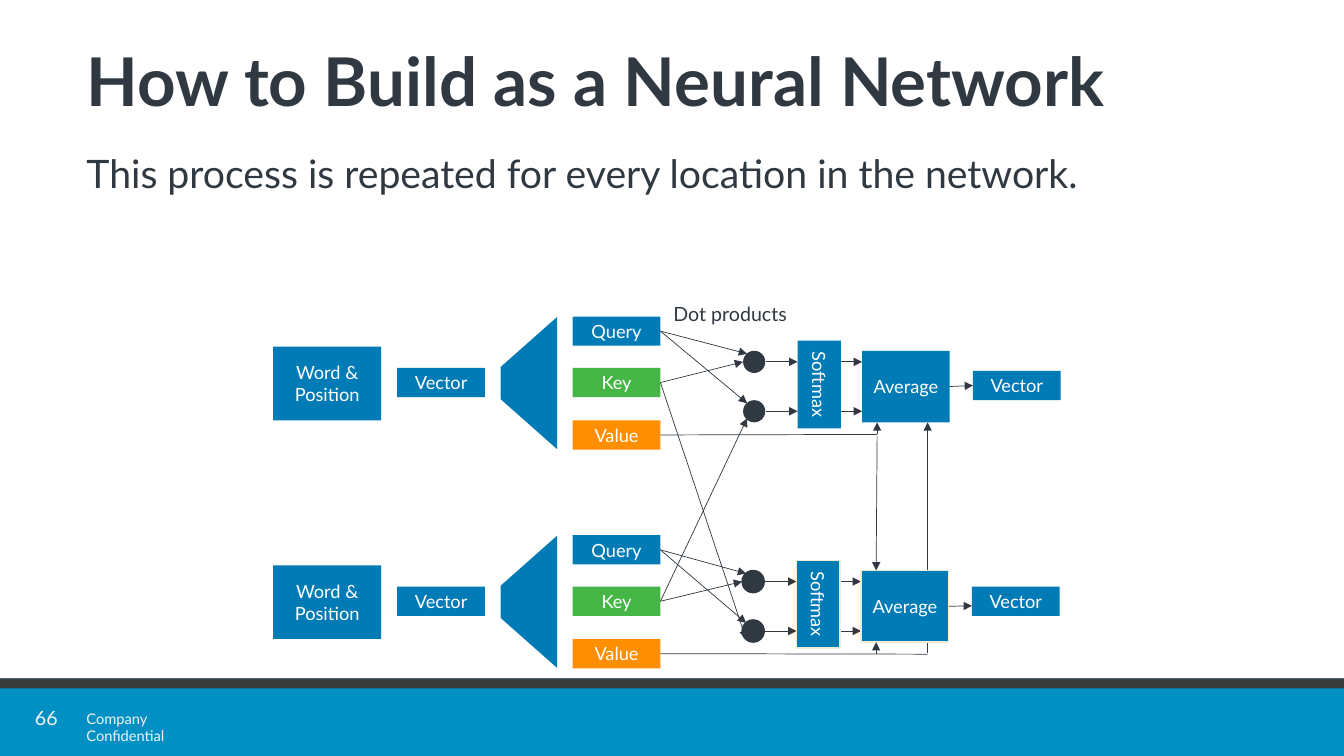
from lxml import etree
from pptx import Presentation
from pptx.dml.color import RGBColor
from pptx.enum.shapes import MSO_CONNECTOR, MSO_SHAPE
from pptx.enum.text import MSO_ANCHOR, PP_ALIGN
from pptx.oxml.ns import qn
from pptx.util import Inches, Pt

RECT, OVAL, TRAPEZOID = MSO_SHAPE.RECTANGLE, MSO_SHAPE.OVAL, MSO_SHAPE.TRAPEZOID
STRAIGHT = MSO_CONNECTOR.STRAIGHT
MIDDLE, TOP = MSO_ANCHOR.MIDDLE, MSO_ANCHOR.TOP
LEFT, CENTER = PP_ALIGN.LEFT, PP_ALIGN.CENTER
LEFT_SIDE, RIGHT_SIDE = 1, 3

FONT = "Lato"
INK = RGBColor(0x30, 0x39, 0x42)
BLUE = RGBColor(0x00, 0x7B, 0xB6)
GREEN = RGBColor(0x45, 0xB6, 0x45)
ORANGE = RGBColor(0xFF, 0x8E, 0x00)
CREAM = RGBColor(0xED, 0xEC, 0xD7)
WHITE = RGBColor(0xFF, 0xFF, 0xFF)
FOOTER_BLUE = RGBColor(0x00, 0x90, 0xC3)
FOOTER_DARK = RGBColor(0x38, 0x3D, 0x3B)
FOOTER_TEXT = RGBColor(0xF2, 0xF2, 0xF2)

# Content
TITLE = "How to Build as a Neural Network"
BODY = "This process is repeated for every location in the network."
DOT_LABEL = "Dot products"
PAGE_NUMBER = "66"
FOOTER = "Company Confidential"

# Encoder boxes of one location: text, left, top, width, height, fill
ENCODER = [
    ("Word & Position", 2.71, 3.44, 1.07, 0.73, BLUE),
    ("Vector", 3.94, 3.65, 0.87, 0.29, BLUE),
    ("Query", 5.68, 3.14, 0.87, 0.29, BLUE),
    ("Key", 5.68, 3.65, 0.87, 0.29, GREEN),
    ("Value", 5.68, 4.17, 0.87, 0.29, ORANGE),
]
# Per location: encoder drop, attention shift, attention drop, output drop, border
LOCATIONS = [
    (0, 0, 0, 0, None),
    (2.17, -0.01, 2.18, 2.14, CREAM),
]
DOT_TOPS = (3.48, 3.97)
DOT_SIZE = 0.22

deck = Presentation()
deck.slide_width, deck.slide_height = Inches(13.33), Inches(7.5)
page = deck.slides.add_slide(deck.slide_layouts[6])


def add_text(shape, text, size, color, align=LEFT, anchor=TOP, wrap=True, spacing=None):
    frame = shape.text_frame
    frame.word_wrap = wrap
    frame.vertical_anchor = anchor
    frame.text = text
    para = frame.paragraphs[0]
    para.alignment = align
    if spacing:
        para.line_spacing = spacing
    para.font.name, para.font.size, para.font.color.rgb = FONT, Pt(size), color
    return para


def add_label(text, left, top, width, height, size, color, **options):
    box = page.shapes.add_textbox(Inches(left), Inches(top), Inches(width), Inches(height))
    add_text(box, text, size, color, **options)
    return box


def add_block(kind, left, top, width, height, fill, text="", border=None, turn=0):
    shape = page.shapes.add_shape(
        kind, Inches(left), Inches(top), Inches(width), Inches(height))
    shape.shadow.inherit = False
    shape.fill.solid()
    shape.fill.fore_color.rgb = fill
    if border is None:
        shape.line.fill.background()
    else:
        shape.line.color.rgb = border
        shape.line.width = Pt(1)
    shape.rotation = turn
    if text:
        add_text(shape, text, 13, WHITE, align=CENTER, anchor=MIDDLE)
    return shape


def add_wire(start, end, source=None, target=None, arrow=True):
    """Draw from start to end; source and target are boxes joined at their sides."""
    wire = page.shapes.add_connector(STRAIGHT, *(Inches(v) for v in (*start, *end)))
    wire.line.color.rgb = INK
    wire.line.width = Pt(0.5)
    if arrow:
        etree.SubElement(wire.line._get_or_add_ln(), qn("a:tailEnd"), type="triangle")
    etree.SubElement(wire._element.spPr, qn("a:effectLst"))
    if source is not None:
        wire.begin_connect(source, RIGHT_SIDE)
    if target is not None:
        wire.end_connect(target, LEFT_SIDE)


# Footer
add_block(RECT, 0, 6.73, 13.33, 0.77, FOOTER_BLUE)
add_block(RECT, 0, 6.73, 13.33, 0.1, FOOTER_DARK)
number = add_label(PAGE_NUMBER, 0.33, 7.02, 0.26, 0.23, 14, FOOTER_TEXT,
                   align=CENTER, anchor=MIDDLE, wrap=False, spacing=0.9)
inner = number.text_frame
inner.margin_left = inner.margin_right = inner.margin_top = inner.margin_bottom = 0
add_label(FOOTER, 0.76, 6.99, 1.6, 0.28, 10.5, FOOTER_TEXT, wrap=False)

# Title and body
title = add_label(TITLE, 0.76, 0.32, 11.91, 1.08, 48, INK, anchor=MIDDLE, spacing=0.8)
title.text_frame.paragraphs[0].font.bold = True
add_label(BODY, 0.76, 1.43, 11.9, 5.03, 28, INK)

# Lower value rising behind the lower average
add_wire((9.2, 6.48), (9.2, 4.19))

# One pipeline per location
boxes = []
for drop, shift, fall, output_drop, border in LOCATIONS:
    named = {}
    for text, left, top, width, height, fill in ENCODER:
        named[text] = add_block(RECT, left, top + drop, width, height, fill, text)
    boxes.append(named)
    funnel = add_block(TRAPEZOID, 4.59, 3.52 + drop, 1.31, 0.56, BLUE, turn=270)
    funnel.adjustments[0] = 0.886

    for top in DOT_TOPS:
        middle = top + DOT_SIZE / 2 + fall
        add_block(OVAL, 7.37 + shift, top + fall, DOT_SIZE, DOT_SIZE, INK,
                  border=INK if border else None)
        add_wire((7.6 + shift, middle), (7.91 + shift, middle))
        add_wire((8.32 + shift, middle), (8.55 + shift, middle))

    add_block(RECT, 7.69 + shift, 3.6 + fall, 0.87, 0.43, BLUE, "Softmax", border, 90)
    average = add_block(RECT, 8.55 + shift, 3.48 + fall, 0.87, 0.71, BLUE,
                        "Average", border)
    output = add_block(RECT, 9.65 + shift, 3.68 + output_drop, 0.87, 0.29, BLUE, "Vector")
    add_wire((9.42 + shift, 3.83 + fall), (9.65 + shift, 3.83 + fall),
             average, None if border else output)

    # Query and key into the dot products of the same location
    for tip in ((7.41, 3.51), (7.41, 4.0)):
        add_wire((6.55, 3.29 + drop), (tip[0] + shift, tip[1] + fall), named["Query"])
    add_wire((6.55, 3.8 + drop), (7.37 + shift, 3.59 + fall), named["Key"])
    add_wire((8.7 + shift, 4.31 + fall), (8.7 + shift, 4.19 + fall))

# Links between the two locations
upper, lower = boxes
add_wire((6.55, 3.8), (7.4, 6.34), upper["Key"])
add_wire((6.55, 5.97), (7.41, 4.15), lower["Key"])
add_wire((6.55, 4.31), (8.7, 4.31), upper["Value"], arrow=False)
add_wire((6.55, 6.49), (9.2, 6.49), lower["Value"], arrow=False)
add_wire((8.7, 4.33), (8.69, 5.66))

add_label(DOT_LABEL, 6.58, 2.95, 1.33, 0.34, 14, INK, wrap=False)

deck.save("out.pptx")
